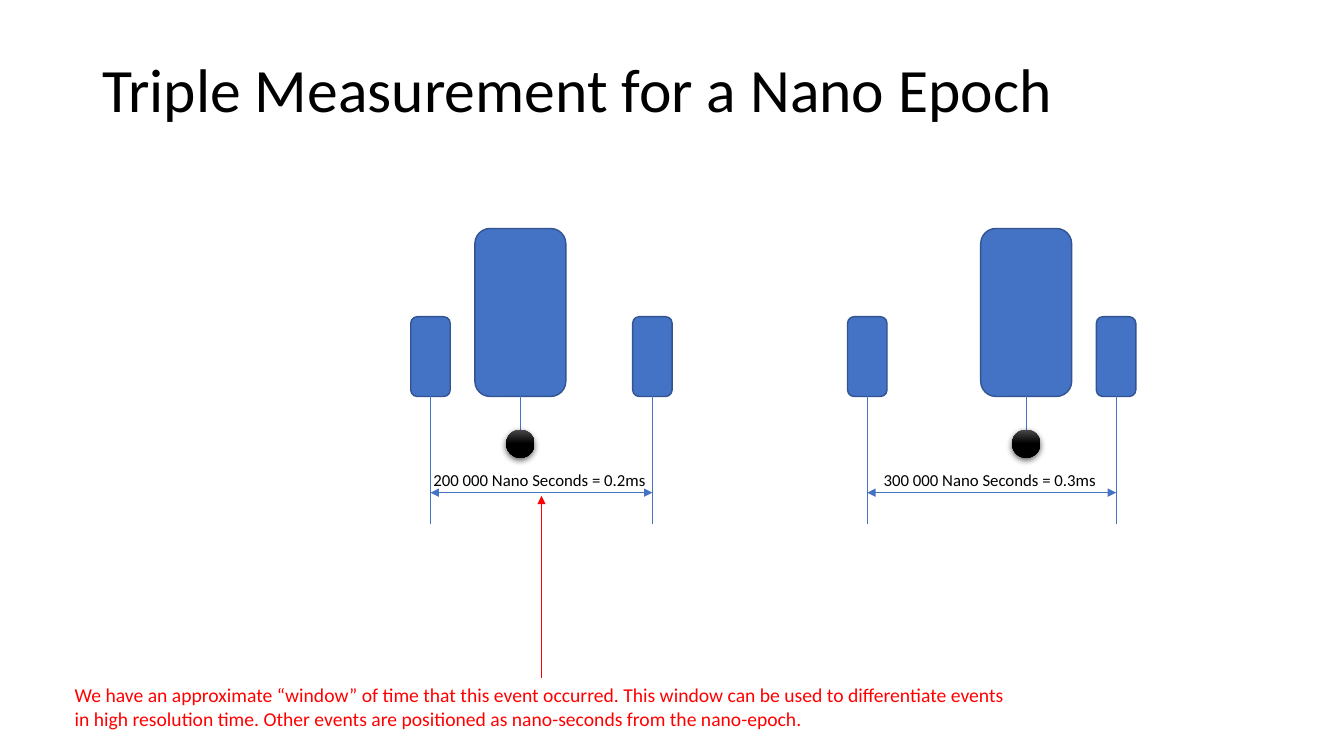
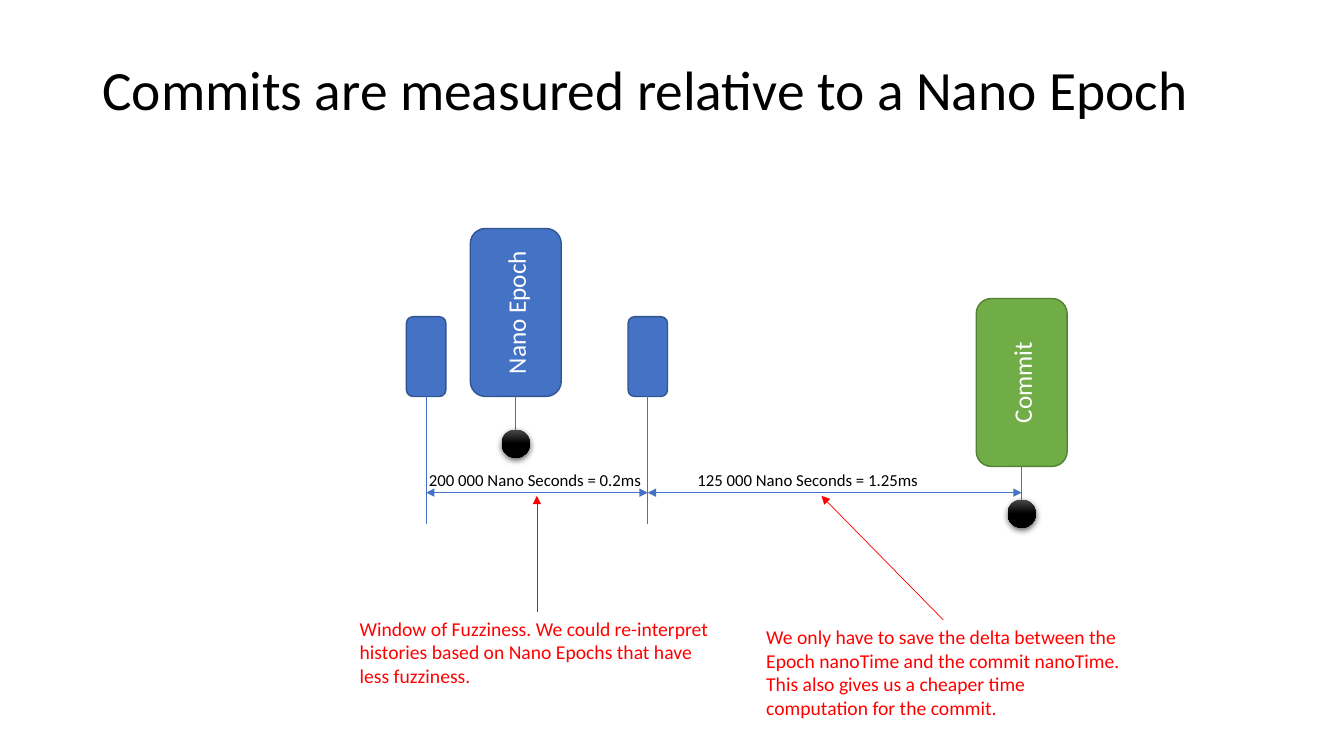
from dataclasses import dataclass

from lxml.etree import SubElement
from pptx import Presentation
from pptx.dml.color import RGBColor
from pptx.enum.shapes import MSO_CONNECTOR, MSO_SHAPE
from pptx.enum.text import MSO_ANCHOR, PP_ALIGN
from pptx.oxml.ns import qn
from pptx.shapes.autoshape import Shape
from pptx.slide import Slide
from pptx.text.text import TextFrame
from pptx.util import Pt

FONT = "Calibri"
BLACK, WHITE, RED = "000000", "FFFFFF", "FF0000"
BLUE, BLUE_EDGE = "4472C4", "325491"
GREEN, GREEN_EDGE = "70AD47", "538035"
BALL_HIGHLIGHT = "4B4B4B"

BLOCK_WIDTH, BLOCK_HEIGHT = 65, 120
MARKER_WIDTH, MARKER_HEIGHT = 28.2, 57
BALL_SIZE, STEM_LENGTH = 20.2, 23.6
EPOCH_BOTTOM, COMMIT_BOTTOM = 283.2, 333.2
SPAN_Y, GUIDE_BOTTOM = 351.9, 374.4
LABEL_TOP, LABEL_HEIGHT, LABEL_WIDTH = 331.9, 21.6, 168.5


@dataclass(frozen=True)
class Box:
    left: float
    top: float
    width: float
    height: float


@dataclass(frozen=True)
class Point:
    x: float
    y: float


@dataclass(frozen=True)
class Event:
    center: float
    bottom: float = EPOCH_BOTTOM
    name: str = ""
    fill: str = BLUE
    edge: str = BLUE_EDGE


@dataclass(frozen=True)
class Epoch:
    event: Event
    before: float
    after: float
    label: str


@dataclass(frozen=True)
class Note:
    text: str
    box: Box
    arrow_start: Point
    arrow_end: Point


def color(value: str) -> RGBColor:
    return RGBColor.from_string(value)


def write_text(text_frame: TextFrame, text: str, size: float, text_color: str,
               alignment: PP_ALIGN = PP_ALIGN.LEFT, line_spacing: float = 1.0) -> None:
    text_frame.text = text
    text_frame.word_wrap = True
    paragraph = text_frame.paragraphs[0]
    paragraph.alignment = alignment
    paragraph.line_spacing = line_spacing
    for run in paragraph.runs:
        run.font.name = FONT
        run.font.size = Pt(size)
        run.font.color.rgb = color(text_color)


def add_text(slide: Slide, box: Box, text: str, size: float, text_color: str,
             line_spacing: float = 1.0) -> Shape:
    shape = slide.shapes.add_textbox(Pt(box.left), Pt(box.top), Pt(box.width), Pt(box.height))
    write_text(shape.text_frame, text, size, text_color, line_spacing=line_spacing)
    return shape


def add_title(slide: Slide, text: str, size: float) -> None:
    shape = add_text(slide, Box(66, 28.75, 828, 74.25), text, size, BLACK, 0.9)
    shape.text_frame.vertical_anchor = MSO_ANCHOR.MIDDLE


def add_line(slide: Slide, start: Point, end: Point, line_color: str = BLUE,
             arrow_ends: tuple[str, ...] = ()) -> None:
    connector = slide.shapes.add_connector(
        MSO_CONNECTOR.STRAIGHT, Pt(start.x), Pt(start.y), Pt(end.x), Pt(end.y))
    connector.line.color.rgb = color(line_color)
    connector.line.width = Pt(0.5)
    line = connector.line._get_or_add_ln()
    for arrow_end in arrow_ends:
        SubElement(line, qn(f"a:{arrow_end}")).set("type", "triangle")
    SubElement(connector._element.spPr, qn("a:effectLst"))


def add_block(slide: Slide, center: float, bottom: float, width: float, height: float,
              fill: str = BLUE, edge: str = BLUE_EDGE) -> Shape:
    shape = slide.shapes.add_shape(
        MSO_SHAPE.ROUNDED_RECTANGLE,
        Pt(center - width / 2), Pt(bottom - height), Pt(width), Pt(height))
    shape.shadow.inherit = False
    shape.fill.solid()
    shape.fill.fore_color.rgb = color(fill)
    shape.line.color.rgb = color(edge)
    shape.line.width = Pt(1)
    return shape


def add_ball(slide: Slide, center: float, top: float) -> None:
    ball = slide.shapes.add_shape(
        MSO_SHAPE.OVAL, Pt(center - BALL_SIZE / 2), Pt(top), Pt(BALL_SIZE), Pt(BALL_SIZE))
    ball.line.fill.background()
    ball.fill.gradient()
    ball.fill.gradient_angle = 270
    for stop, position, stop_color in zip(
            ball.fill.gradient_stops, (0, 0.5), (BALL_HIGHLIGHT, BLACK)):
        stop.position = position
        stop.color.rgb = color(stop_color)
    ball.shadow.inherit = False
    effects = ball._element.spPr.find(qn("a:effectLst"))
    shadow = SubElement(effects, qn("a:outerShdw"), blurRad=str(Pt(4.5)),
                        dist=str(Pt(1.5)), dir="5400000", algn="ctr", rotWithShape="0")
    shadow_color = SubElement(shadow, qn("a:srgbClr"), val=BLACK)
    SubElement(shadow_color, qn("a:alpha"), val="63000")


def add_event(slide: Slide, event: Event) -> None:
    block = add_block(slide, event.center, event.bottom, BLOCK_WIDTH, BLOCK_HEIGHT,
                      event.fill, event.edge)
    if event.name:
        write_text(block.text_frame, event.name, 18, WHITE, PP_ALIGN.CENTER)
        block.text_frame.vertical_anchor = MSO_ANCHOR.MIDDLE
        block.text_frame._txBody.bodyPr.set("vert", "vert270")
    ball_top = event.bottom + STEM_LENGTH
    add_line(slide, Point(event.center, event.bottom), Point(event.center, ball_top))
    add_ball(slide, event.center, ball_top)


def add_span(slide: Slide, start: float, end: float, label: str,
             label_left: float, label_width: float) -> None:
    add_line(slide, Point(start, SPAN_Y), Point(end, SPAN_Y),
             arrow_ends=("headEnd", "tailEnd"))
    add_text(slide, Box(label_left, LABEL_TOP, label_width, LABEL_HEIGHT), label, 12, BLACK)


def add_epoch(slide: Slide, epoch: Epoch) -> None:
    add_event(slide, epoch.event)
    for center in (epoch.before, epoch.after):
        add_block(slide, center, EPOCH_BOTTOM, MARKER_WIDTH, MARKER_HEIGHT)
        add_line(slide, Point(center, EPOCH_BOTTOM), Point(center, GUIDE_BOTTOM))
    label_left = (epoch.before + epoch.after - LABEL_WIDTH) / 2
    add_span(slide, epoch.before, epoch.after, epoch.label, label_left, LABEL_WIDTH)


def add_note(slide: Slide, note: Note) -> None:
    add_text(slide, note.box, note.text, 14, RED)
    add_line(slide, note.arrow_start, note.arrow_end, RED, ("tailEnd",))


def build_slide(slide: Slide, title: str, title_size: float,
                epochs: list[Epoch], notes: list[Note]) -> None:
    add_title(slide, title, title_size)
    for epoch in epochs:
        add_epoch(slide, epoch)
    for note in notes:
        add_note(slide, note)


WINDOW_LABEL = "200 000 Nano Seconds = 0.2ms"
MEASURED_EPOCHS = [
    Epoch(Event(371.7), 307.5, 466, WINDOW_LABEL),
    Epoch(Event(733), 619.5, 797.2, "300 000 Nano Seconds = 0.3ms"),
]
MEASUREMENT_NOTES = [
    Note("We have an approximate “window” of time that this event occurred. "
         "This window can be used to differentiate events in high resolution time. "
         "Other events are positioned as nano-seconds from the nano-epoch.",
         Box(46.2, 484.4, 680.4, 41.2), Point(386.8, 484.4), Point(386.8, 354.2)),
]
REFERENCE_EPOCH = Epoch(Event(368.4, name="Nano Epoch"), 304.4, 462.7, WINDOW_LABEL)
COMMIT = Event(729.8, COMMIT_BOTTOM, "Commit", GREEN, GREEN_EDGE)
COMMIT_NOTES = [
    Note("Window of Fuzziness. We could re-interpret histories based on Nano Epochs "
         "that have less fuzziness.",
         Box(249.8, 437, 267.1, 58.2), Point(383.5, 437), Point(383.5, 354.2)),
    Note("We only have to save the delta between the Epoch nanoTime and the commit "
         "nanoTime. This also gives us a cheaper time computation for the commit.",
         Box(540.2, 442.8, 267.1, 75.1), Point(673.8, 442.8), Point(586.8, 354.2)),
]

presentation = Presentation()
presentation.slide_width, presentation.slide_height = Pt(960), Pt(540)
blank_layout = presentation.slide_layouts[6]

build_slide(presentation.slides.add_slide(blank_layout),
            "Triple Measurement for a Nano Epoch", 44, MEASURED_EPOCHS, MEASUREMENT_NOTES)

commit_slide = presentation.slides.add_slide(blank_layout)
build_slide(commit_slide, "Commits are measured relative to a Nano Epoch", 39.6,
            [REFERENCE_EPOCH], COMMIT_NOTES)
add_event(commit_slide, COMMIT)
add_span(commit_slide, REFERENCE_EPOCH.after, COMMIT.center,
         "125 000 Nano Seconds = 1.25ms", 491, 190.8)

presentation.save("out.pptx")
